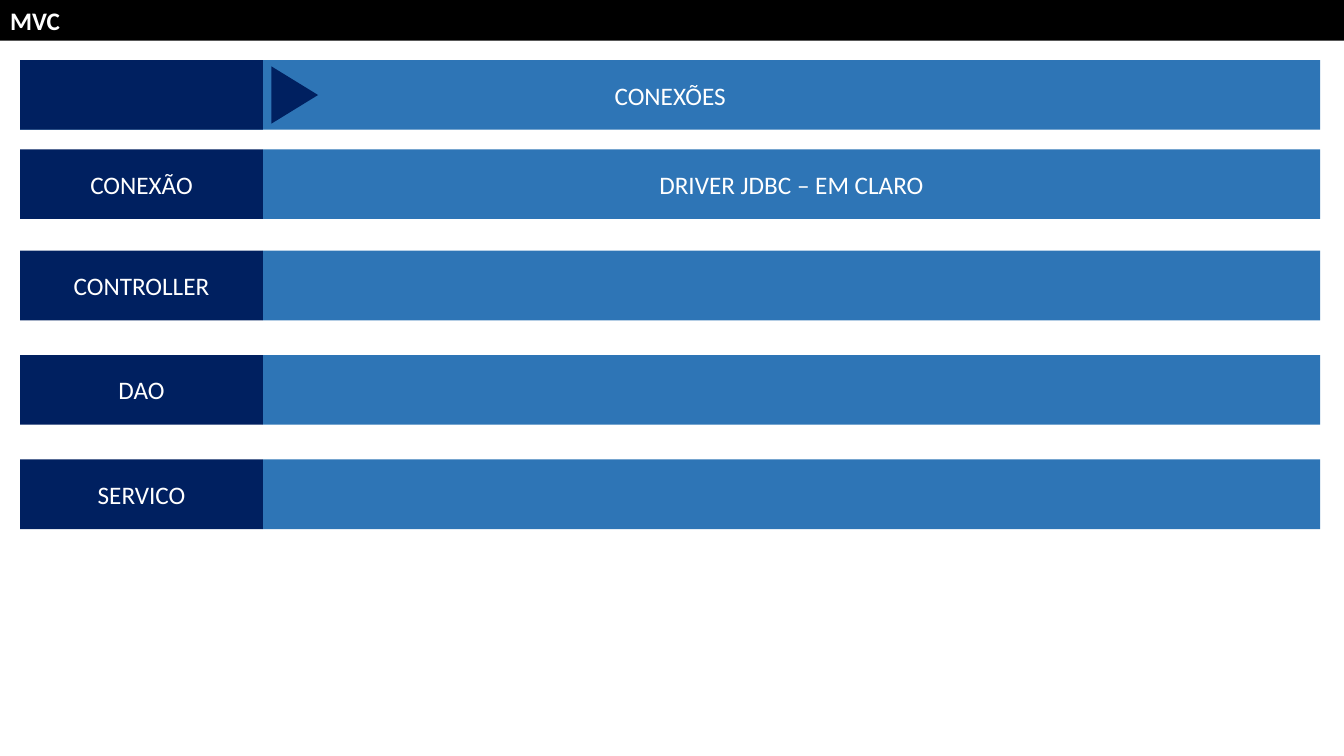
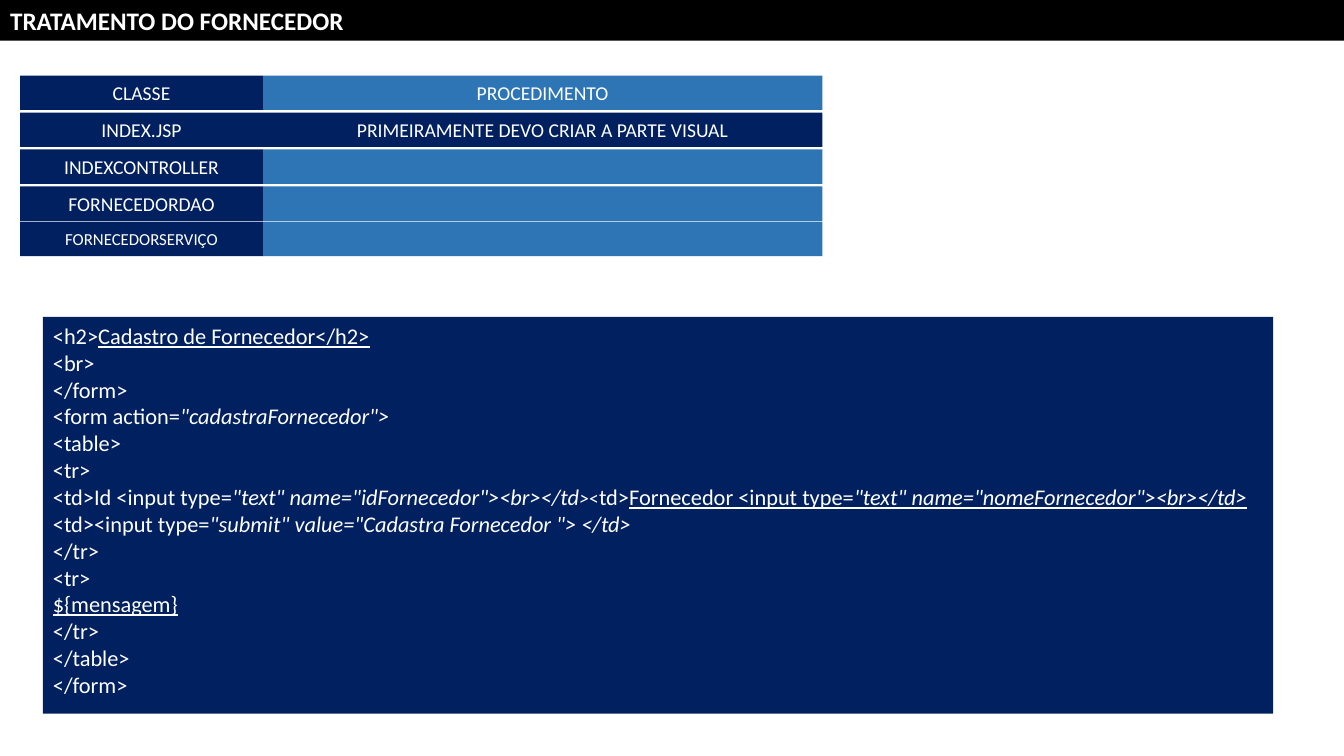
from dataclasses import dataclass

from pptx import Presentation
from pptx.dml.color import RGBColor
from pptx.enum.shapes import MSO_SHAPE
from pptx.enum.text import MSO_ANCHOR, MSO_AUTO_SIZE, PP_ALIGN
from pptx.util import Pt


@dataclass(frozen=True)
class Theme:
    black: RGBColor = RGBColor(0x00, 0x00, 0x00)
    white: RGBColor = RGBColor(0xFF, 0xFF, 0xFF)
    navy: RGBColor = RGBColor(0x00, 0x20, 0x60)
    blue: RGBColor = RGBColor(0x2E, 0x75, 0xB6)
    font: str = "Calibri"
    large: int = 18
    code: int = 16
    medium: int = 14
    small: int = 12


theme = Theme()


def write(paragraph, text, size=theme.large, align=PP_ALIGN.LEFT,
          bold=False, italic=False, underline=False):
    paragraph.alignment = align
    run = paragraph.add_run()
    run.text = text
    run.font.name = theme.font
    run.font.size = Pt(size)
    run.font.color.rgb = theme.white
    run.font.bold = bold
    run.font.italic = italic
    run.font.underline = underline


def add_block(slide, left, top, width, height, fill, text="",
              size=theme.large, preset=MSO_SHAPE.RECTANGLE):
    block = slide.shapes.add_shape(preset, Pt(left), Pt(top), Pt(width), Pt(height))
    block.shadow.inherit = False
    block.fill.solid()
    block.fill.fore_color.rgb = fill
    block.line.fill.background()
    block.text_frame.word_wrap = True
    block.text_frame.vertical_anchor = MSO_ANCHOR.MIDDLE
    if text:
        write(block.text_frame.paragraphs[0], text, size=size, align=PP_ALIGN.CENTER)
    return block


deck = Presentation()
deck.slide_width = Pt(960)
deck.slide_height = Pt(540)

slides = []
for heading in ("MVC", "TRATAMENTO DO FORNECEDOR"):
    slide = deck.slides.add_slide(deck.slide_layouts[5])
    band = slide.shapes.title
    band.left, band.top, band.width, band.height = Pt(0), Pt(0), Pt(960), Pt(29)
    band.fill.solid()
    band.fill.fore_color.rgb = theme.black
    band.text_frame.auto_size = MSO_AUTO_SIZE.NONE
    band.text_frame.vertical_anchor = MSO_ANCHOR.TOP
    write(band.text_frame.paragraphs[0], heading, bold=True)
    slides.append(slide)
mvc, supplier = slides

label_left = 14.4
label_width = 173.4
detail_left = label_left + label_width

layer_height = 49.7
layer_width = 755.2
layers = [
    (106.6, "CONEXÃO", "DRIVER JDBC – EM CLARO"),
    (179.1, "CONTROLLER", ""),
    (253.6, "DAO", ""),
    (328.2, "SERVICO", ""),
]
for top, layer, detail in layers:
    add_block(mvc, detail_left, top, layer_width, layer_height, theme.blue, detail)
    add_block(mvc, label_left, top, label_width, layer_height, theme.navy, layer)

connections_top = 43
add_block(mvc, label_left, connections_top, label_width + layer_width, layer_height,
          theme.blue, "CONEXÕES")
pointer = add_block(mvc, 190, 51.2, 41, 33.4, theme.navy,
                    preset=MSO_SHAPE.ISOSCELES_TRIANGLE)
pointer.rotation = 90
add_block(mvc, label_left, connections_top, label_width, layer_height, theme.navy)

class_height = 24.6
procedure_width = 399.6
classes = [
    (54, "CLASSE", "PROCEDIMENTO", theme.blue, theme.medium),
    (80.4, "INDEX.JSP", "PRIMEIRAMENTE DEVO CRIAR A PARTE VISUAL", theme.navy, theme.medium),
    (106.8, "INDEXCONTROLLER", "", theme.blue, theme.medium),
    (133.2, "FORNECEDORDAO", "", theme.blue, theme.medium),
    (158.4, "FORNECEDORSERVIÇO", "", theme.blue, theme.small),
]
for top, name, procedure, fill, size in classes:
    add_block(supplier, detail_left, top, procedure_width, class_height, fill, procedure, size)
    add_block(supplier, label_left, top, label_width, class_height, theme.navy, name, size)

plain = {}
italic = {"italic": True}
underline = {"underline": True}
form_lines = [
    [("<h2>", plain), ("Cadastro de Fornecedor</h2>", underline)],
    [("<br>", plain)],
    [("</form>", plain)],
    [("<form action=", plain), ('"cadastraFornecedor">', italic)],
    [("<table>", plain)],
    [("<tr>", plain)],
    [("<td>Id <input type=", plain),
     ('"text" name="idFornecedor"><br></td', italic),
     (">", {"italic": True, "size": theme.medium}),
     ("<", {"size": theme.medium}),
     ("td>", plain),
     ("Fornecedor <input type=", underline),
     ('"text" name="nomeFornecedor"><br></td>', italic | underline)],
    [("<td><input type=", plain),
     ('"submit" value="Cadastra Fornecedor "> </td>', italic)],
    [("</tr>", plain)],
    [("<tr>", plain)],
    [("${mensagem}", underline)],
    [("</tr>", plain)],
    [("</table>", plain)],
    [("</form>", plain)],
]
form_code = add_block(supplier, 30.7, 226.4, 878.7, 283.4, theme.navy).text_frame
form_code.vertical_anchor = MSO_ANCHOR.TOP
for number, line in enumerate(form_lines):
    paragraph = form_code.add_paragraph() if number else form_code.paragraphs[0]
    for text, style in line:
        write(paragraph, text, **({"size": theme.code} | style))

deck.save("out.pptx")
